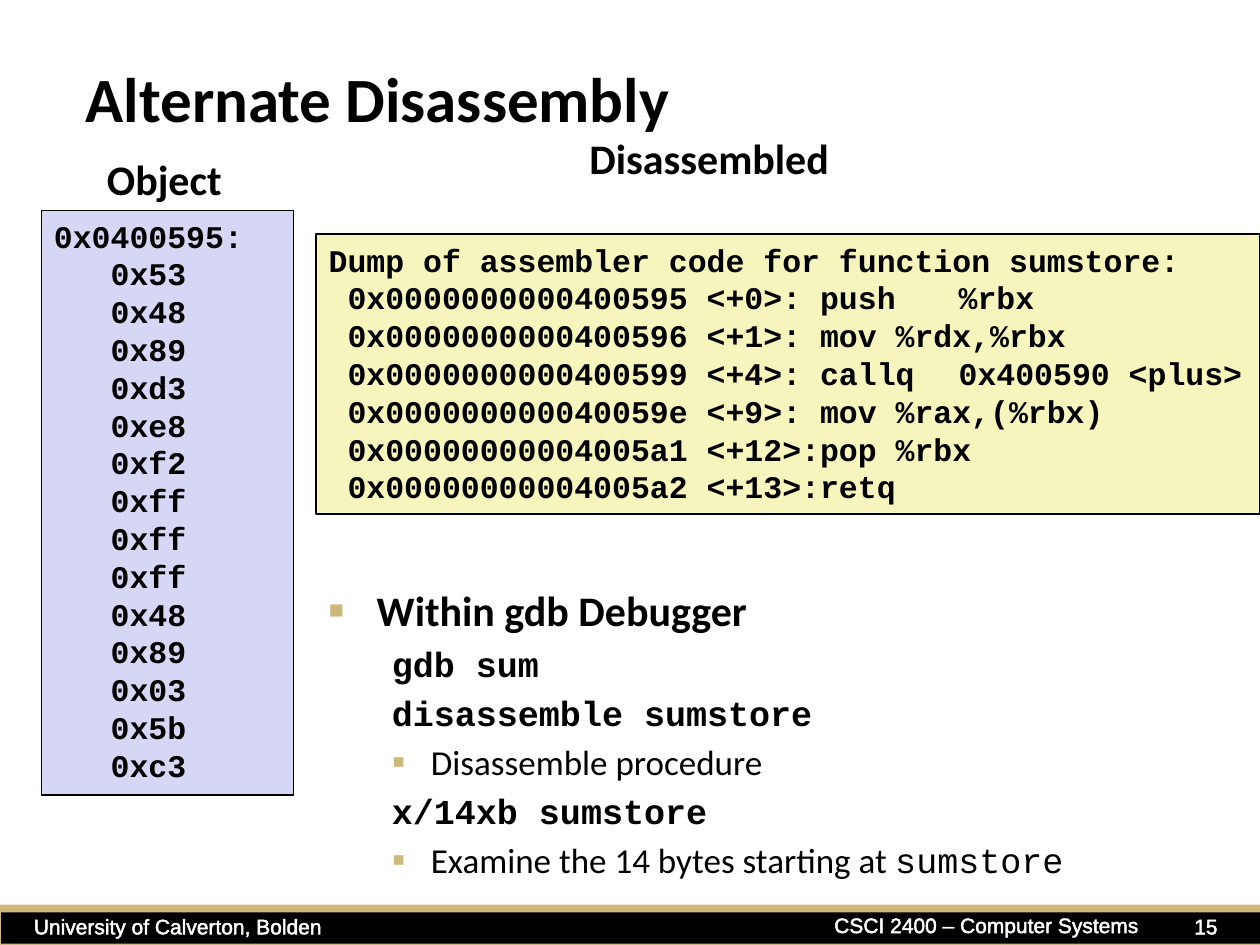
from lxml import etree
from pptx import Presentation
from pptx.dml.color import RGBColor
from pptx.enum.shapes import MSO_SHAPE
from pptx.enum.text import MSO_ANCHOR, MSO_AUTO_SIZE, PP_ALIGN
from pptx.oxml.ns import qn
from pptx.util import Inches, Pt

RECT = MSO_SHAPE.RECTANGLE
LEFT, CENTER = PP_ALIGN.LEFT, PP_ALIGN.CENTER
TOP, MIDDLE = MSO_ANCHOR.TOP, MSO_ANCHOR.MIDDLE
NO_FIT = MSO_AUTO_SIZE.NONE

COLORS = {
    "gold": "CFB87C",
    "black": "000000",
    "white": "FFFFFF",
    "yellow": "F6F5BD",
    "lavender": "D6D6F5",
}
SANS, MONO, FOOT = "Calibri", "Courier New", "Arial"

OBJECT_BYTES = ["0x53", "0x48", "0x89", "0xd3", "0xe8", "0xf2", "0xff", "0xff",
                "0xff", "0x48", "0x89", "0x03", "0x5b", "0xc3"]
DUMP = [
    "Dump of assembler code for function sumstore:",
    " 0x0000000000400595 <+0>: push\t%rbx",
    " 0x0000000000400596 <+1>: mov\t%rdx,%rbx",
    " 0x0000000000400599 <+4>: callq\t0x400590 <plus>",
    " 0x000000000040059e <+9>: mov\t%rax,(%rbx)",
    " 0x00000000004005a1 <+12>:pop\t%rbx",
    " 0x00000000004005a2 <+13>:retq",
]
COMMAND = {"size": 20, "font": MONO, "level": 1, "indent": (0.81, -0.31), "bullet": ""}
DETAIL = {"size": 20, "bold": False, "level": 1, "indent": (0.81, -0.31),
          "bullet": "▪", "bullet_size": 110}
GDB_NOTES = [
    ("Within gdb Debugger", {"size": 24, "indent": (0.38, -0.38),
                             "bullet": "■", "bullet_size": 60}),
    ("gdb sum", COMMAND),
    ("disassemble sumstore", COMMAND),
    ("Disassemble procedure", DETAIL),
    ("x/14xb sumstore", COMMAND),
    ("Examine the 14 bytes starting at ", DETAIL),
]


def rgb(name):
    return RGBColor.from_string(COLORS[name])


def add_node(parent, tag, **attrs):
    return etree.SubElement(parent, qn(tag), {k: str(v) for k, v in attrs.items()})


def add_run(p, text, size=18, font=SANS, color="black", bold=True, outline=None):
    r = p.add_run()
    r.text = text
    r.font.size, r.font.name, r.font.bold = Pt(size), font, bold
    r.font.color.rgb = rgb(color)
    if outline:
        ln = etree.Element(qn("a:ln"), w=str(Pt(0.75)))
        add_node(add_node(ln, "a:solidFill"), "a:srgbClr", val=COLORS[outline])
        r.font._element.insert(0, ln)


def add_text(tf, text, first=False, level=0, align=LEFT, indent=(0, 0),
             bullet=None, bullet_size=100, tab=None, **style):
    p = tf.paragraphs[0] if first else tf.add_paragraph()
    p.level, p.alignment = level, align
    pPr = p._p.get_or_add_pPr()
    pPr.set("marL", str(Inches(indent[0])))
    pPr.set("indent", str(Inches(indent[1])))
    if bullet:
        add_node(add_node(pPr, "a:buClr"), "a:srgbClr", val=COLORS["gold"])
        add_node(pPr, "a:buSzPct", val=bullet_size * 1000)
        add_node(pPr, "a:buChar", char=bullet)
    elif bullet == "":
        add_node(pPr, "a:buNone")
    if tab:
        add_node(add_node(pPr, "a:tabLst"), "a:tab", pos=Inches(tab), algn="l")
    add_run(p, text, **style)
    return p


def add_box(s, box, fill, line=None):
    sp = s.shapes.add_shape(RECT, *map(Inches, box))
    sp.shadow.inherit = False
    sp.fill.solid()
    sp.fill.fore_color.rgb = rgb(fill)
    if line:
        sp.line.color.rgb = rgb(line)
        sp.line.width = Pt(1)
    else:
        sp.line.fill.background()
    return sp


def add_label(s, box, text, wrap=True, **style):
    tf = s.shapes.add_textbox(*map(Inches, box)).text_frame
    tf.word_wrap = wrap
    add_text(tf, text, first=True, **style)


def place(sp, box):
    sp.left, sp.top, sp.width, sp.height = map(Inches, box)
    tf = sp.text_frame
    tf.auto_size = NO_FIT
    return tf


def add_title(s, box):
    tf = place(s.shapes.title, box)
    tf.vertical_anchor = MIDDLE
    add_text(tf, "Alternate Disassembly", first=True, size=36)


def add_code(s, box, fill, lines, **rest):
    tf = add_box(s, box, fill, "black").text_frame
    tf.word_wrap, tf.vertical_anchor = True, TOP
    for i, line in enumerate(lines):
        add_text(tf, line, first=i == 0, font=MONO, **(rest if i else {}))


def add_notes_list(s, box):
    tf = place(s.placeholders[1], box)
    tf.vertical_anchor = TOP
    for i, (text, style) in enumerate(GDB_NOTES):
        p = add_text(tf, text, first=i == 0, **style)
    add_run(p, "sumstore", size=20, font=MONO, bold=False)


def add_footer(s, box):
    x, y, w, h = box
    add_box(s, box, "gold")
    add_box(s, (x + 0.01, y + 0.06, w, h - 0.07), "black")
    style = {"size": 12, "font": FOOT, "color": "white", "bold": False,
             "outline": "white"}
    add_label(s, (x + 0.17, y + 0.02, 2.52, 0.3),
              "University of Calverton, Bolden", wrap=False, **style)
    add_label(s, (x + 6.5, y + 0.01, 2.66, 0.3),
              "CSCI 2400 – Computer Systems", align=CENTER, **style)
    add_label(s, (x + 9.38, y + 0.02, 0.46, 0.3), "15", **style)


def main():
    prs = Presentation()
    prs.slide_width, prs.slide_height = Inches(10), Inches(7.5)
    s = prs.slides.add_slide(prs.slide_layouts[1])
    add_footer(s, (0, 7.18, 10, 0.32))
    add_title(s, (0.58, 0.46, 6.83, 0.63))
    add_label(s, (4.58, 1, 2.85, 0.45), "Disassembled", size=24)
    add_code(s, (2.51, 1.86, 7.49, 2.22), "yellow", DUMP, tab=4.95)
    add_label(s, (0.75, 1.17, 1.43, 0.45), "Object", size=24)
    add_code(s, (0.33, 1.67, 2, 4.64), "lavender",
             ["0x0400595:"] + OBJECT_BYTES, indent=(0.45, 0))
    add_notes_list(s, (2.51, 4.59, 6.89, 2.46))
    prs.save("out.pptx")


if __name__ == "__main__":
    main()
